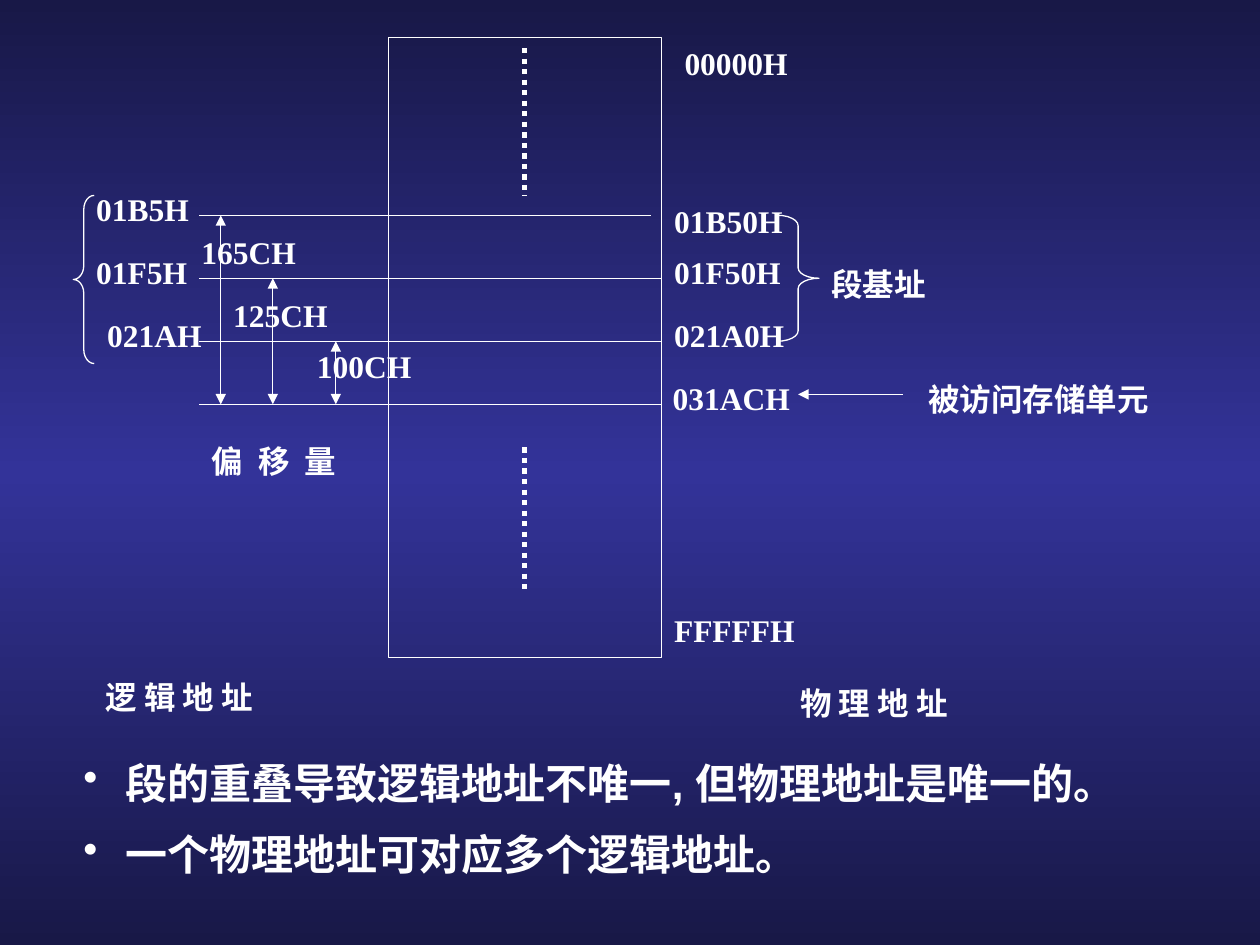
from copy import deepcopy
from typing import NamedTuple

from lxml.etree import SubElement
from pptx import Presentation
from pptx.dml.color import RGBColor
from pptx.enum.dml import MSO_LINE
from pptx.enum.shapes import MSO_CONNECTOR, MSO_SHAPE as Preset
from pptx.enum.text import MSO_AUTO_SIZE as AutoSize
from pptx.oxml.ns import qn
from pptx.util import Cm, Pt

WHITE = RGBColor(0xFF, 0xFF, 0xFF)
NAVY = RGBColor(0x18, 0x18, 0x47)
INDIGO = RGBColor(0x33, 0x33, 0x99)

# All positions below are in centimetres.
LABEL_HEIGHT = 1.02
MEMORY_LEFT, MEMORY_WIDTH = 7.83, 5.5
MEMORY_RIGHT = MEMORY_LEFT + MEMORY_WIDTH
ROW_LEFT = 4.02
ROWS = [4.34 + 1.27 * i for i in range(4)]
ACCESSED_ROW = ROWS[-1]
DOTS_X = 10.58


class Label(NamedTuple):
    text: str
    left: float
    top: float
    width: float
    tracking: float = 0


class Offset(NamedTuple):
    x: float
    row: float
    label: Label


PHYSICAL_ADDRESSES = [
    Label("00000H", 13.55, 0.76, 2.75),
    Label("01B50H", 13.34, 3.94, 2.75),
    Label("01F50H", 13.34, 4.98, 2.75),
    Label("021A0H", 13.34, 6.25, 2.96),
    Label("031ACH", 13.31, 7.52, 2.96),
    Label("FFFFFH", 13.34, 12.19, 2.96),
]
SEGMENTS = [
    Label("01B5H", 1.69, 3.71, 2.54),
    Label("01F5H", 1.69, 4.98, 2.54),
    Label("021AH", 1.91, 6.25, 2.54),
]
CAPTIONS = [
    Label("段基址", 16.51, 5.21, 2.75),
    Label("被访问存储单元", 18.46, 7.54, 5.08),
    Label("偏 移 量", 4.02, 8.79, 3.39, tracking=2.25),
    Label("逻 辑 地 址", 1.88, 13.54, 4.02),
    Label("物 理 地 址", 15.88, 13.67, 3.81),
]
OFFSETS = [
    Offset(4.45, ROWS[0], Label("165CH", 3.81, 4.57, 2.75)),
    Offset(5.5, ROWS[1], Label("125CH", 4.45, 5.84, 2.75)),
    Offset(6.77, ROWS[2], Label("100CH", 6.14, 6.88, 2.75)),
]
CONCLUSIONS = [
    "段的重叠导致逻辑地址不唯一, 但物理地址是唯一的。",
    "一个物理地址可对应多个逻辑地址。",
]


def paint_background(slide) -> None:
    """Vertical gradient, dark at both ends and lighter in the middle."""
    fill = slide.background.fill
    fill.gradient()
    fill.gradient_angle = 90
    stop_list = next(slide.element.iter(qn("a:gsLst")))
    stop_list.insert(1, deepcopy(stop_list[0]))
    for stop, color, position in zip(
        fill.gradient_stops, (NAVY, INDIGO, NAVY), (0, 0.5, 1)
    ):
        stop.color.rgb = color
        stop.position = position


def add_outline(slide, preset, left, top, width, height, adjustments=()) -> None:
    """Unfilled preset shape with a thin white line."""
    shape = slide.shapes.add_shape(preset, Cm(left), Cm(top), Cm(width), Cm(height))
    shape.shadow.inherit = False
    shape.fill.background()
    shape.line.color.rgb = WHITE
    shape.line.width = Pt(0.75)
    for i, value in enumerate(adjustments):
        shape.adjustments[i] = value


def add_line(slide, start, end, *, width=0.75, dash=None, arrows=()) -> None:
    """White line; arrows holds any of "headEnd" (at start) and "tailEnd" (at end)."""
    line = slide.shapes.add_connector(
        MSO_CONNECTOR.STRAIGHT, *(Cm(value) for value in (*start, *end))
    )
    line.line.color.rgb = WHITE
    line.line.width = Pt(width)
    if dash is not None:
        line.line.dash_style = dash
    properties = line.element.spPr
    for arrow in arrows:
        SubElement(properties.find(qn("a:ln")), qn(f"a:{arrow}"), type="triangle")
    SubElement(properties, qn("a:effectLst"))


def add_text(slide, paragraphs, left, top, width, height=LABEL_HEIGHT, *, size=18,
             font="Times New Roman", tracking=0.0, bullet=None, line_spacing=None,
             gap=0.0) -> None:
    """Bold white text; gap is the space in points between paragraphs."""
    box = slide.shapes.add_textbox(Cm(left), Cm(top), Cm(width), Cm(height))
    frame = box.text_frame
    frame.word_wrap = True
    frame.auto_size = AutoSize.SHAPE_TO_FIT_TEXT
    for i, text in enumerate(paragraphs):
        paragraph = frame.add_paragraph() if i else frame.paragraphs[0]
        if line_spacing:
            paragraph.line_spacing = line_spacing
        if i:
            paragraph.space_before = Pt(gap)
        if bullet:
            properties = paragraph._p.get_or_add_pPr()
            properties.set("marL", str(Cm(1.5)))
            properties.set("indent", str(Cm(-0.86)))
            SubElement(properties, qn("a:buChar"), char=bullet)
        run = paragraph.add_run()
        run.text = text
        run.font.name = font
        run.font.size = Pt(size)
        run.font.bold = True
        run.font.color.rgb = WHITE
        if tracking:
            run.font._element.set("spc", str(round(tracking * 100)))


def add_label(slide, label: Label) -> None:
    add_text(slide, [label.text], label.left, label.top, label.width,
             tracking=label.tracking)


def draw_memory(slide) -> None:
    add_outline(slide, Preset.RECTANGLE, MEMORY_LEFT, 0.76, MEMORY_WIDTH, 12.49)
    for row in ROWS:
        right = 13.13 if row == ROWS[0] else MEMORY_RIGHT
        add_line(slide, (ROW_LEFT, row), (right, row))
    for top, bottom in ((0.97, 3.94), (9.02, 11.96)):
        add_line(slide, (DOTS_X, top), (DOTS_X, bottom), width=3,
                 dash=MSO_LINE.ROUND_DOT)


def draw_offset(slide, offset: Offset) -> None:
    add_line(slide, (offset.x, offset.row), (offset.x, ACCESSED_ROW),
             arrows=("headEnd", "tailEnd"))
    add_label(slide, offset.label)


def main() -> None:
    deck = Presentation()
    deck.slide_width, deck.slide_height = Cm(25.4), Cm(19.05)
    slide = deck.slides.add_slide(deck.slide_layouts[6])
    paint_background(slide)
    draw_memory(slide)
    add_outline(slide, Preset.RIGHT_BRACE, 15.67, ROWS[0], 0.84, 2.54, (0.25, 0.5))
    add_outline(slide, Preset.LEFT_BRACE, 1.48, 3.94, 0.42, 3.39, (0.67, 0.5))
    add_line(slide, (18.2, 7.95), (16.09, 7.95), arrows=("tailEnd",))
    for offset in OFFSETS:
        draw_offset(slide, offset)
    for label in PHYSICAL_ADDRESSES + SEGMENTS + CAPTIONS:
        add_label(slide, label)
    add_text(slide, CONCLUSIONS, 0.79, 15.09, 23.01, 2.87, size=24, font="Arial",
             bullet="•", line_spacing=1.05, gap=10.8)
    deck.save("out.pptx")


if __name__ == "__main__":
    main()
